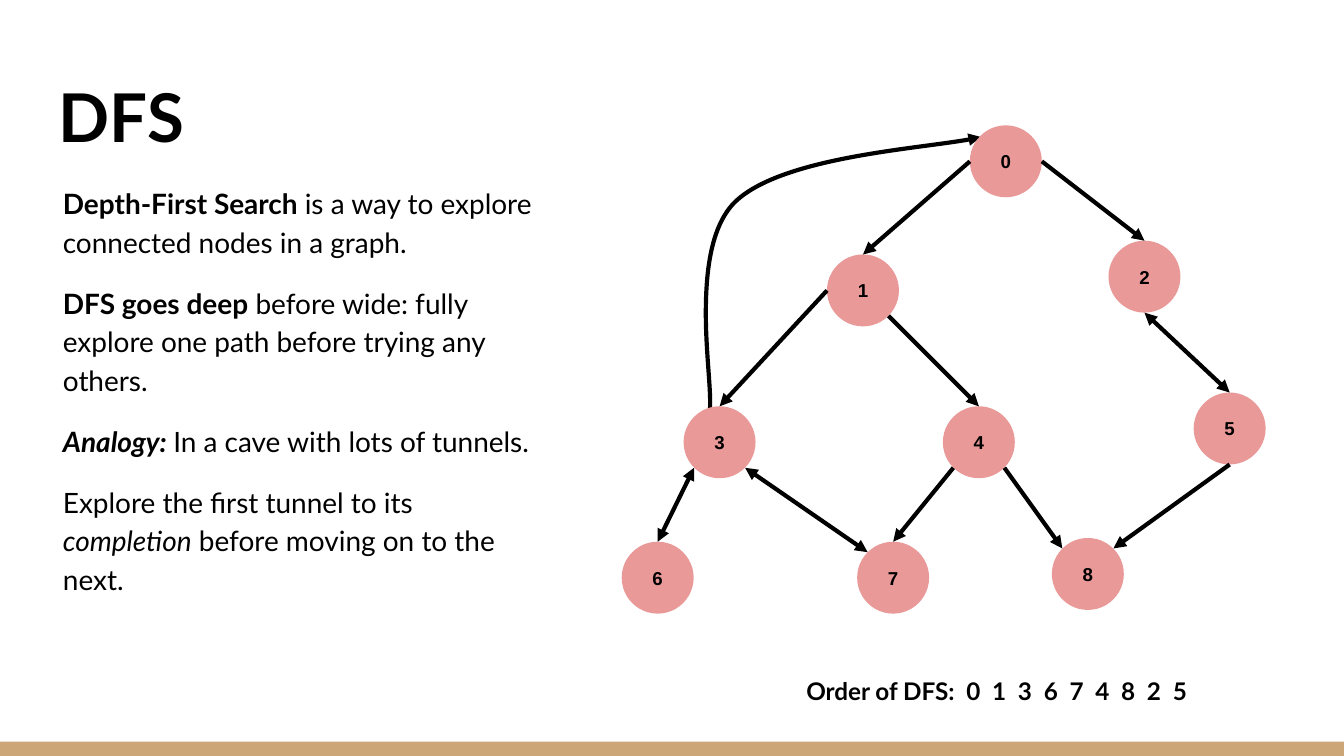
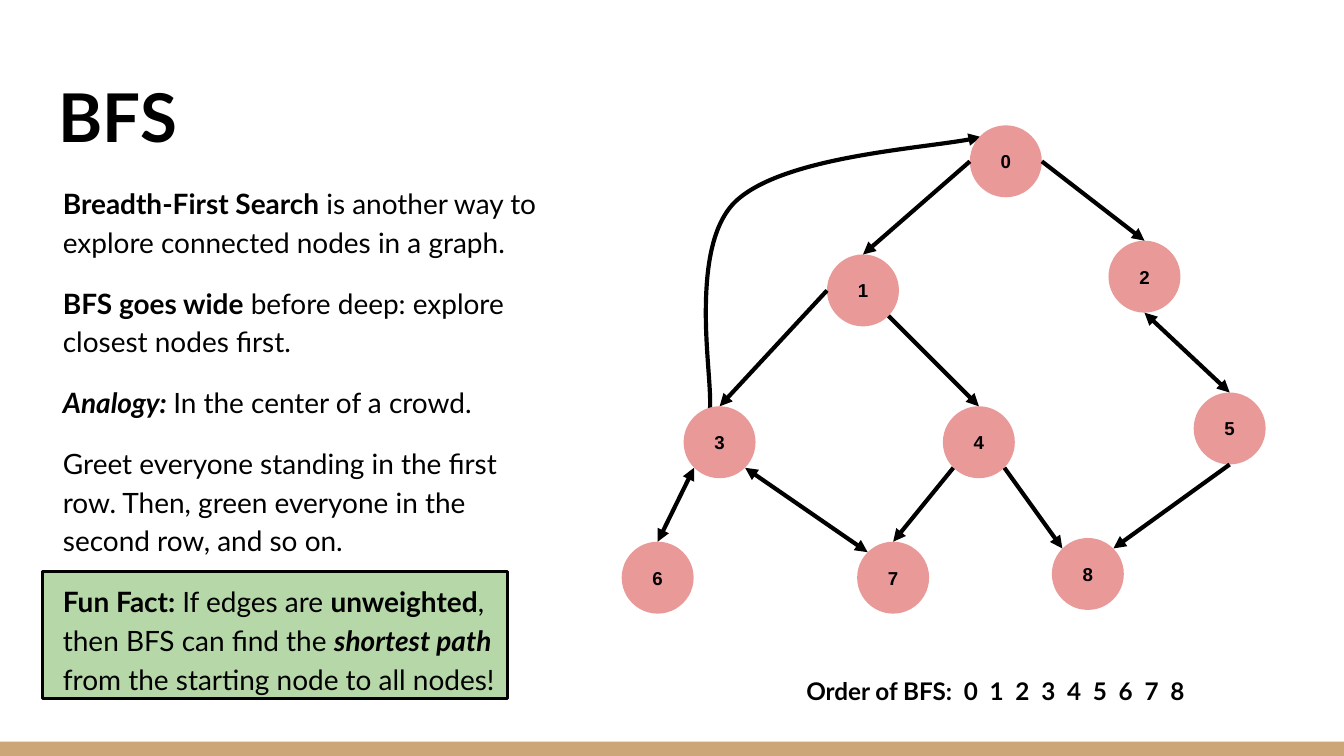
from lxml.etree import SubElement
from pptx import Presentation
from pptx.dml.color import RGBColor
from pptx.enum.shapes import MSO_CONNECTOR, MSO_SHAPE
from pptx.enum.text import MSO_ANCHOR, PP_ALIGN
from pptx.oxml.ns import qn
from pptx.util import Cm, Pt

BLACK = "000000"
BAND = "CCA677"
NODE = "EA9999"
FACT = "B6D7A8"
DIAMETER = 1.36

node_centres = {
    "3": (13.6, 8.36), "1": (16.31, 5.49), "4": (18.5, 8.36),
    "0": (19.01, 3.05), "8": (20.56, 10.85), "7": (16.88, 10.92),
    "2": (21.63, 5.23), "5": (23.24, 8.1), "6": (12.43, 10.92),
}
rim = {
    "N": (0, -1), "S": (0, 1), "W": (-1, 0), "E": (1, 0),
    "NW": (-0.71, -0.71), "NE": (0.71, -0.71),
    "SW": (-0.71, 0.71), "SE": (0.71, 0.71),
}
edges = [
    ("0", "W", "1", "N", False),
    ("0", "E", "2", "N", False),
    ("1", "W", "3", "N", False),
    ("1", "SE", "4", "N", False),
    ("2", "S", "5", "N", True),
    ("3", "SW", "6", "N", True),
    ("3", "SE", "7", "NW", True),
    ("4", "SW", "7", "N", False),
    ("4", "SE", "8", "NW", False),
    ("5", "S", "8", "NE", False),
]
back_edge = [
    (13.41, 7.82),
    (13.46, 7.49), (13.34, 6.73), (13.34, 5.92),
    (13.34, 5.11), (13.44, 4.29), (13.87, 3.84),
    (14.73, 2.97), (17.75, 2.79), (18.54, 2.59),
]

searches = [
    {
        "title": "DFS",
        "body": [
            [("Depth-First Search ", "b"), ("is a way to explore connected nodes in a graph.", "")],
            [("DFS goes deep", "b"),
             (" before wide: fully explore one path before trying any others.", "")],
            [("Analogy: ", "bi"), ("In a cave with lots of tunnels.", "")],
            [("Explore the first tunnel to its ", ""), ("completion", "i"),
             (" before moving on to the next.", "")],
        ],
        "order": "Order of DFS:  0  1  3  6  7  4  8  2  5",
        "fun_fact": False,
    },
    {
        "title": "BFS",
        "body": [
            [("Breadth-First Search ", "b"),
             ("is another way to explore connected nodes in a graph.", "")],
            [("BFS goes wide", "b"), (" before deep: explore closest nodes first.", "")],
            [("Analogy: ", "bi"), ("In the center of a crowd.", "")],
            [("Greet everyone standing in the first row. "
              "Then, green everyone in the second row, and so on.", "")],
            [("Fun Fact: ", "b"), ("If edges are ", ""), ("unweighted", "b"),
             (", then BFS can find the ", ""), ("shortest path", "bi"),
             (" from the starting node to all nodes!", "")],
        ],
        "order": "Order of BFS:  0  1  2  3  4  5  6  7  8",
        "fun_fact": True,
    },
]


def write_text(frame, paragraphs, size, font="Lato", spacing=1.15):
    frame.word_wrap = True
    frame.margin_left = frame.margin_right = Cm(0.25)
    frame.margin_top = frame.margin_bottom = Cm(0.25)
    for index, pieces in enumerate(paragraphs):
        paragraph = frame.add_paragraph() if index else frame.paragraphs[0]
        paragraph.line_spacing = spacing
        if index:
            paragraph.space_before = Pt(12)
        for text, style in pieces:
            run = paragraph.add_run()
            run.text = text
            run.font.name = font
            run.font.size = Pt(size)
            run.font.bold = "b" in style
            run.font.italic = "i" in style
            run.font.color.rgb = RGBColor.from_string(BLACK)


def draw_arrow(arrow, both_ways=False):
    arrow.line.color.rgb = RGBColor.from_string(BLACK)
    arrow.line.width = Pt(2.25)
    properties = arrow._element.spPr
    outline = properties.find(qn("a:ln"))
    if both_ways:
        SubElement(outline, qn("a:headEnd"), type="triangle")
    SubElement(outline, qn("a:tailEnd"), type="triangle")
    SubElement(properties, qn("a:effectLst"))


prs = Presentation()
prs.slide_width = Cm(25.4)
prs.slide_height = Cm(14.29)

for search in searches:
    slide = prs.slides.add_slide(prs.slide_layouts[6])
    shapes = slide.shapes

    band = shapes.add_shape(MSO_SHAPE.RECTANGLE, 0, Cm(14.02), prs.slide_width, Cm(0.27))
    band.shadow.inherit = False
    band.fill.solid()
    band.fill.fore_color.rgb = RGBColor.from_string(BAND)
    band.line.fill.background()

    if search["fun_fact"]:
        fact = shapes.add_shape(MSO_SHAPE.RECTANGLE, Cm(0.81), Cm(10.8), Cm(8.79), Cm(2.41))
        fact.shadow.inherit = False
        fact.fill.solid()
        fact.fill.fore_color.rgb = RGBColor.from_string(FACT)
        fact.line.color.rgb = RGBColor.from_string(BLACK)
        fact.line.width = Pt(1.5)

    title = shapes.add_textbox(Cm(0.86), Cm(0.89), Cm(23.67), Cm(2.31))
    title.text_frame.vertical_anchor = MSO_ANCHOR.BOTTOM
    write_text(title.text_frame, [[(search["title"], "b")]], 36, spacing=1.0)

    body = shapes.add_textbox(Cm(0.94), Cm(3.18), Cm(9.58), Cm(0.87))
    write_text(body.text_frame, search["body"], 15)

    start, *bends = [(Cm(x), Cm(y)) for x, y in back_edge]
    builder = shapes.build_freeform(*start)
    builder.add_line_segments(bends, close=False)
    curve = builder.convert_to_shape()
    segments = list(curve._element.iter(qn("a:lnTo")))
    for first in range(0, len(segments), 3):
        bend = segments[first]
        bend.tag = qn("a:cubicBezTo")
        for segment in segments[first + 1:first + 3]:
            bend.append(segment[0])
            segment.getparent().remove(segment)
    curve.fill.background()
    draw_arrow(curve)

    nodes = {}
    for label, (x, y) in node_centres.items():
        node = shapes.add_shape(
            MSO_SHAPE.OVAL, Cm(x - DIAMETER / 2), Cm(y - DIAMETER / 2), Cm(DIAMETER), Cm(DIAMETER)
        )
        node.shadow.inherit = False
        node.fill.solid()
        node.fill.fore_color.rgb = RGBColor.from_string(NODE)
        node.line.fill.background()
        node.text_frame.vertical_anchor = MSO_ANCHOR.MIDDLE
        write_text(node.text_frame, [[(label, "b")]], 10, "Arial", 1.0)
        node.text_frame.paragraphs[0].alignment = PP_ALIGN.CENTER
        nodes[label] = node

    for source, source_side, target, target_side, both_ways in edges:
        ends = []
        for label, side in ((source, source_side), (target, target_side)):
            for centre, offset in zip(node_centres[label], rim[side]):
                ends.append(Cm(centre + offset * DIAMETER / 2))
        edge = shapes.add_connector(MSO_CONNECTOR.STRAIGHT, *ends)
        if target_side == "N":
            edge.end_connect(nodes[target], 0)
        draw_arrow(edge, both_ways)

    order = shapes.add_textbox(Cm(14.99), Cm(12.45), Cm(8.03), Cm(1.47))
    write_text(order.text_frame, [[(search["order"], "b")]], 13)

prs.save("out.pptx")
